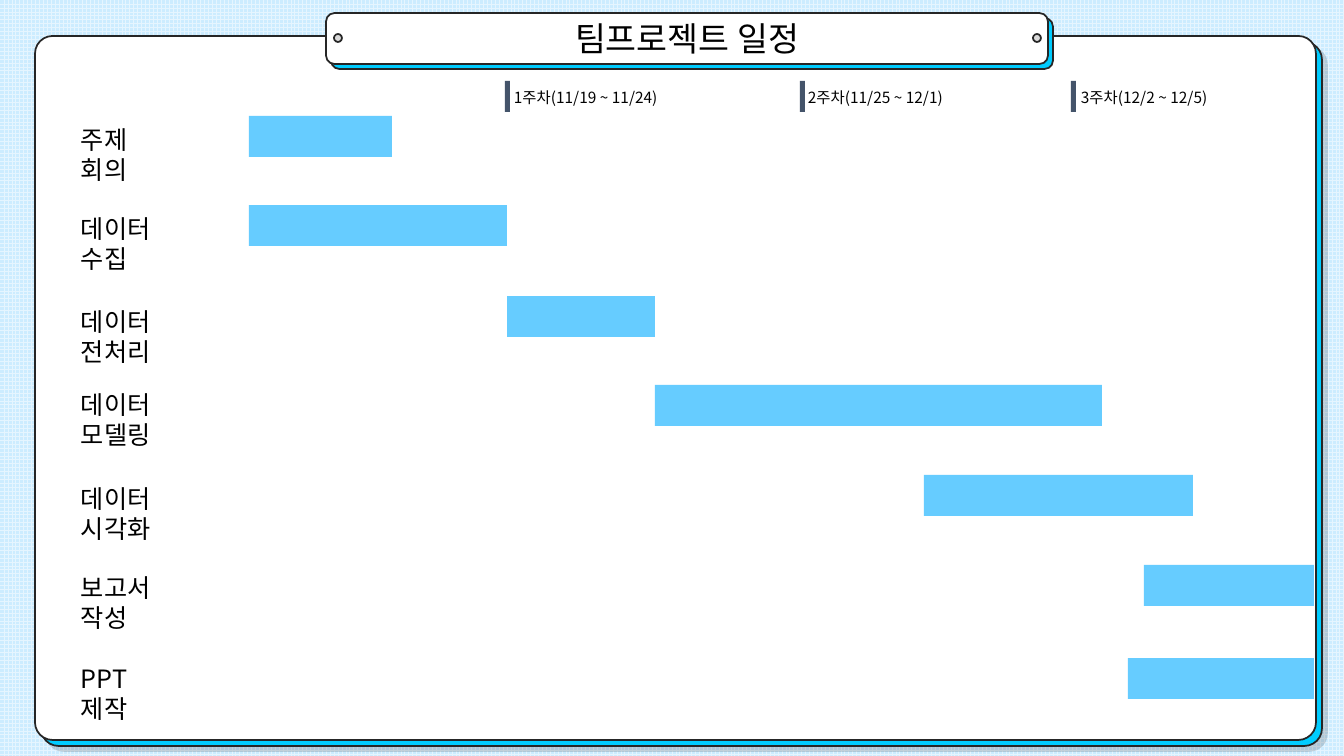
"""Build the team project schedule slide as a Gantt-style chart."""
import pptx
import pptx.dml.color
import pptx.enum.dml
import pptx.enum.shapes
import pptx.enum.text
import pptx.oxml
import pptx.oxml.ns
import pptx.util

PX = 12192000 / 1344
FONT = "Noto Sans CJK KR"
RGB = pptx.dml.color.RGBColor
BLACK = RGB(0x00, 0x00, 0x00)
WHITE = RGB(0xFF, 0xFF, 0xFF)
CYAN = RGB(0x00, 0xCC, 0xFF)
SKY = RGB(0x66, 0xCC, 0xFF)
SLATE = RGB(0x44, 0x54, 0x6A)
OUTLINE = RGB(0x26, 0x26, 0x26)
PIN_GRAY = RGB(0xD9, 0xD9, 0xD9)
GRID_LIGHT = RGB(0xE5, 0xF5, 0xFF)
GRID_BASE = RGB(0xCC, 0xEC, 0xFF)
SHAPES = pptx.enum.shapes.MSO_SHAPE

presentation = pptx.Presentation()
presentation.slide_width = round(1344 * PX)
presentation.slide_height = round(756 * PX)
slide = presentation.slides.add_slide(presentation.slide_layouts[5])
background = slide.background.fill
background.patterned()
background.pattern = pptx.enum.dml.MSO_PATTERN.LARGE_GRID
background.fore_color.rgb = GRID_LIGHT
background.back_color.rgb = GRID_BASE


def add_block(kind, box, color, outlined=False):
    shape = slide.shapes.add_shape(kind, *(round(value * PX) for value in box))
    shape.shadow.inherit = False
    shape.fill.solid()
    shape.fill.fore_color.rgb = color
    if outlined:
        shape.line.color.rgb = OUTLINE
        shape.line.width = pptx.util.Pt(1.25)
    else:
        shape.line.fill.background()
    return shape


def write_text(shape, text, size):
    shape.text_frame.word_wrap = True
    paragraph = shape.text_frame.paragraphs[0]
    paragraph.text = text
    paragraph.font.name = FONT
    paragraph.font.size = pptx.util.Pt(size)
    paragraph.font.color.rgb = BLACK
    return paragraph


panels = []
for left, top, color in ((41, 42, CYAN), (35, 36, WHITE)):
    panel = add_block(SHAPES.ROUNDED_RECTANGLE, (left, top, 1281, 704), color, True)
    panel.adjustments[0] = 0.025
    panels.append(panel)

effects = panels[0]._element.spPr.find(pptx.oxml.ns.qn("a:effectLst"))
effects.append(pptx.oxml.parse_xml(
    f'<a:outerShdw {pptx.oxml.ns.nsdecls("a")} blurRad="0" dist="63500" dir="2700000" '
    'algn="tl" rotWithShape="0"><a:srgbClr val="000000"><a:alpha val="15000"/>'
    '</a:srgbClr></a:outerShdw>'))

for left, top, color in ((331, 18, CYAN), (326, 13, WHITE)):
    add_block(SHAPES.ROUNDED_RECTANGLE, (left, top, 722, 51), color, True)
for left in (334, 1033):
    add_block(SHAPES.OVAL, (left, 34, 8, 8), PIN_GRAY, True)

title = slide.shapes.title
title.left, title.top, title.width, title.height = (
    round(value * PX) for value in (346, 13, 682, 51))
title.text_frame.vertical_anchor = pptx.enum.text.MSO_ANCHOR.MIDDLE
title_paragraph = write_text(title, "팀프로젝트 일정", 24)
title_paragraph.alignment = pptx.enum.text.PP_ALIGN.CENTER
slide.shapes._spTree.append(title._element)

weeks = (
    ("1주차(11/19 ~ 11/24)", 505, 504),
    ("2주차(11/25 ~ 12/1)", 800, 798),
    ("3주차(12/2 ~ 12/5)", 1071, 1071),
)
for text, marker_left, text_left in weeks:
    add_block(SHAPES.RECTANGLE, (marker_left, 81, 5, 31), SLATE)
    week = slide.shapes.add_textbox(
        *(round(value * PX) for value in (text_left, 83, 190, 29)))
    write_text(week, text, 11)

tasks = (
    ("주제 회의", 119, 249, 116, 143),
    ("데이터 수집", 208, 249, 205, 258),
    ("데이터 전처리", 301, 507, 296, 148),
    ("데이터 모델링", 384, 655, 385, 447),
    ("데이터 시각화", 478, 924, 475, 269),
    ("보고서 작성", 567, 1144, 565, 170),
    ("PPT 제작", 658, 1128, 658, 186),
)
for text, label_top, bar_left, bar_top, bar_width in tasks:
    add_block(SHAPES.RECTANGLE, (bar_left, bar_top, bar_width, 41), SKY)
    label = slide.shapes.add_textbox(
        *(round(value * PX) for value in (71, label_top, 105, 70)))
    write_text(label, text, 18)

presentation.save("out.pptx")
